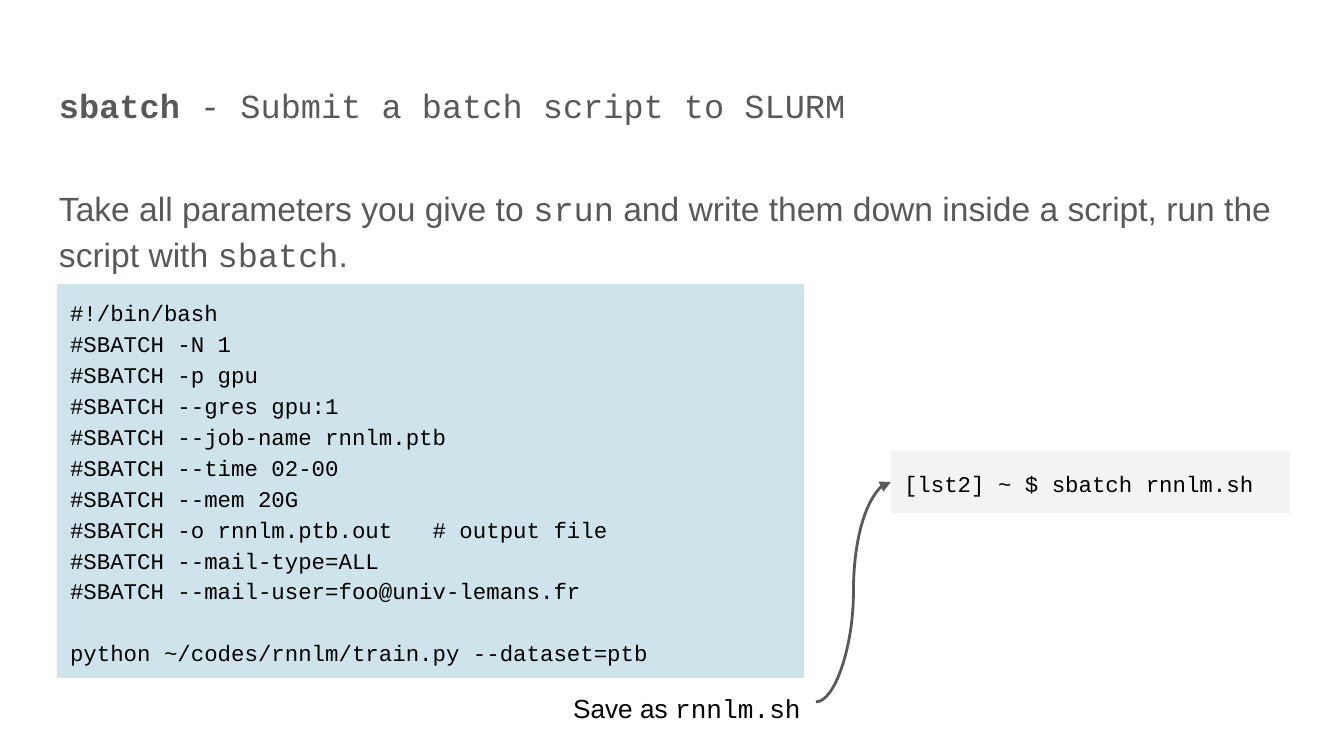
"""Build a slide on submitting a SLURM batch script with sbatch."""
from dataclasses import dataclass

from lxml.etree import SubElement
from pptx import Presentation
from pptx.dml.color import RGBColor
from pptx.enum.shapes import MSO_CONNECTOR, MSO_SHAPE
from pptx.enum.text import MSO_ANCHOR, MSO_AUTO_SIZE, PP_ALIGN
from pptx.oxml.ns import qn
from pptx.util import Emu, Pt

SANS, MONO, MONO_BOLD = ("Arial", False), ("Courier New", False), ("Courier New", True)

TITLE = [("sbatch", MONO_BOLD), (" - Submit a batch script to SLURM", MONO)]
BODY = [
    ("Take all parameters you give to ", SANS),
    ("srun", MONO),
    (" and write them down inside a script, run the script with ", SANS),
    ("sbatch", MONO),
    (".", SANS),
]
DIRECTIVES = [
    "#!/bin/bash",
    "#SBATCH -N 1",
    "#SBATCH -p gpu",
    "#SBATCH --gres gpu:1",
    "#SBATCH --job-name rnnlm.ptb",
    "#SBATCH --time 02-00",
    "#SBATCH --mem 20G",
    "#SBATCH -o rnnlm.ptb.out   # output file",
    "#SBATCH --mail-type=ALL",
    "#SBATCH --mail-user=foo@univ-lemans.fr",
]
PROGRAM = "python ~/codes/rnnlm/train.py --dataset=ptb"
COMMAND = "[lst2] ~ $ sbatch rnnlm.sh"
CAPTION = [("Save as ", SANS), ("rnnlm.sh", MONO)]

SLIDE_SIZE = (1344, 756)
TITLE_AREA = (46, 66, 1253, 73)
BODY_AREA = (46, 169, 1253, 500)
SCRIPT_AREA = (57, 284, 747, 394)
COMMAND_AREA = (891, 451, 399, 62)
CAPTION_AREA = (430, 679, 384, 48)
ARROW_START = (816, 702)
INSET = 13


@dataclass(frozen=True)
class Theme:
    grey: RGBColor = RGBColor(0x59, 0x59, 0x59)
    black: RGBColor = RGBColor(0, 0, 0)
    script_fill: RGBColor = RGBColor(0xCE, 0xE4, 0xEA)
    command_fill: RGBColor = RGBColor(0xF3, 0xF3, 0xF3)
    heading: Pt = Pt(18)
    code: Pt = Pt(12)
    caption: Pt = Pt(14)
    paragraph_gap: Pt = Pt(16)
    code_gap: Pt = Pt(16.6)
    line: Pt = Pt(1.5)
    spacing: float = 1.15


THEME = Theme()


def px(*lengths):
    return [Emu(round(length * 914400 / 134.4)) for length in lengths]


def prepare_frame(box, anchor=MSO_ANCHOR.TOP):
    frame = box.text_frame
    frame.word_wrap = True
    frame.auto_size = MSO_AUTO_SIZE.NONE
    frame.vertical_anchor = anchor
    frame.margin_left, frame.margin_top, frame.margin_right, frame.margin_bottom = px(*[INSET] * 4)
    return frame


def write_spans(para, spans, size, color, align=PP_ALIGN.LEFT, spacing=THEME.spacing):
    para.alignment, para.line_spacing = align, spacing
    for text, (font_name, bold) in spans:
        span = para.add_run()
        span.text = text
        span.font.name, span.font.bold = font_name, bold
        span.font.size, span.font.color.rgb = size, color


def fill_placeholder(box, area, spans):
    box.left, box.top, box.width, box.height = px(*area)
    para = prepare_frame(box).paragraphs[0]
    write_spans(para, spans, THEME.heading, THEME.grey)
    para.space_before, para.space_after = Pt(0), THEME.paragraph_gap
    return para


def add_code_box(page, area, fill, lines):
    box = page.shapes.add_shape(MSO_SHAPE.RECTANGLE, *px(*area))
    box.shadow.inherit = False
    box.fill.solid()
    box.fill.fore_color.rgb = fill
    box.line.fill.background()
    frame = prepare_frame(box, MSO_ANCHOR.MIDDLE)
    for index, line in enumerate(lines):
        para = frame.add_paragraph() if index else frame.paragraphs[0]
        write_spans(para, [(line, MONO)], THEME.code, THEME.black)
    return box


def add_curved_arrow(page, start, target):
    end = (target.left, target.top + target.height // 2)
    arrow = page.shapes.add_connector(MSO_CONNECTOR.CURVE, *px(*start), *end)
    arrow.end_connect(target, 1)
    arrow.line.color.rgb, arrow.line.width = THEME.grey, THEME.line
    properties = arrow.line._get_or_add_ln()
    SubElement(properties, qn("a:tailEnd"), type="triangle")
    SubElement(properties.getparent(), qn("a:effectLst"))


def main():
    deck = Presentation()
    deck.slide_width, deck.slide_height = px(*SLIDE_SIZE)
    page = deck.slides.add_slide(deck.slide_layouts[1])

    fill_placeholder(page.shapes.title, TITLE_AREA, TITLE)
    para = fill_placeholder(page.placeholders[1], BODY_AREA, BODY)
    paragraph_properties = para._p.get_or_add_pPr()
    paragraph_properties.set("marL", "0")
    paragraph_properties.set("indent", "0")
    SubElement(paragraph_properties, qn("a:buNone"))

    script = add_code_box(page, SCRIPT_AREA, THEME.script_fill, DIRECTIVES + [PROGRAM])
    script.text_frame.paragraphs[-1].space_before = THEME.code_gap
    command = add_code_box(page, COMMAND_AREA, THEME.command_fill, [COMMAND])

    caption = page.shapes.add_textbox(*px(*CAPTION_AREA))
    para = prepare_frame(caption).paragraphs[0]
    write_spans(para, CAPTION, THEME.caption, THEME.black, PP_ALIGN.RIGHT, 1.0)
    add_curved_arrow(page, ARROW_START, command)

    deck.save("out.pptx")


if __name__ == "__main__":
    main()
